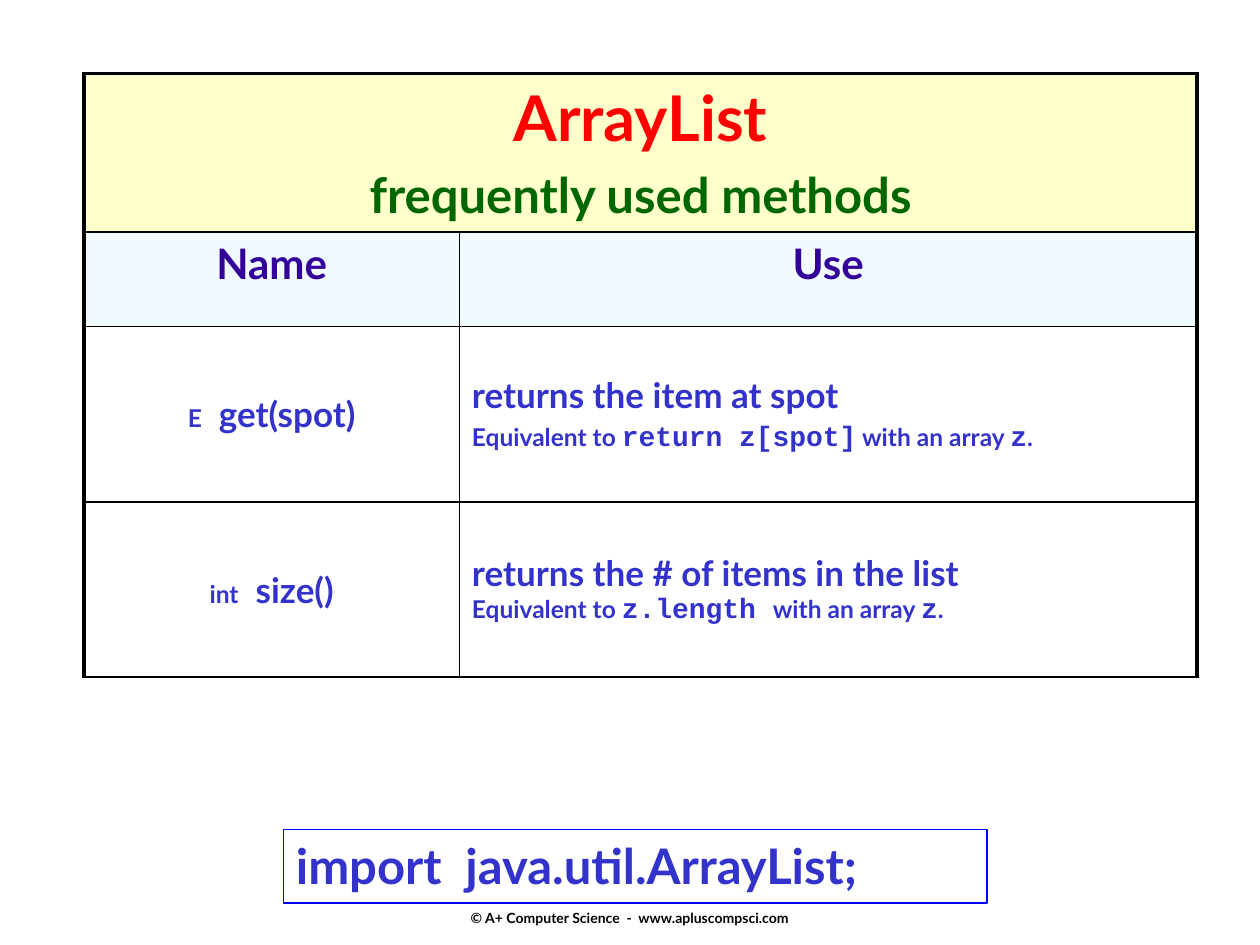
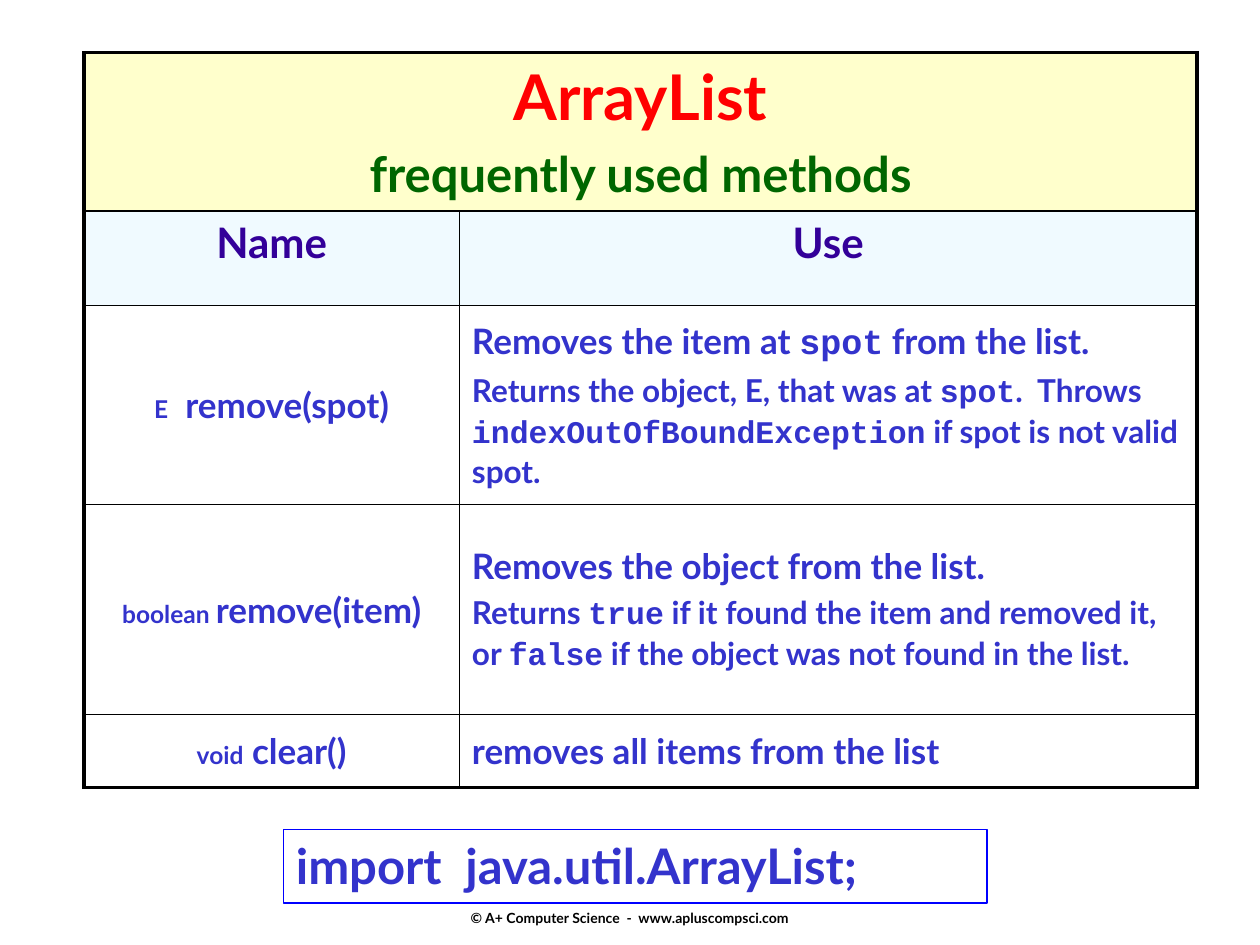
from dataclasses import dataclass

from lxml.etree import SubElement
from pptx import Presentation
from pptx.dml.color import RGBColor
from pptx.enum.shapes import MSO_SHAPE
from pptx.enum.text import MSO_ANCHOR, PP_ALIGN
from pptx.oxml.ns import qn
from pptx.util import Pt

TEXT_FONT, CODE_FONT = "Lato", "Courier New"
BLACK, RED, GREEN, PURPLE = "000000", "FF0000", "006600", "330099"
BLUE, FRAME_BLUE = "3333CC", "0000FF"
CREAM, PALE_BLUE = "FFFFCC", "F0FAFF"
TABLE_LEFT = 48
COLUMN_WIDTHS = (214.5, 421.5)
TITLE_HEIGHT, HEADING_HEIGHT = 90.6, 54
THICK, THIN = 2.25, 1


@dataclass(frozen=True)
class Line:
    """One paragraph; the parts between backticks are code."""
    text: str
    size: float = 20
    code_size: float | None = None
    color: str = BLUE
    gap: float | None = None

    def space_before(self) -> float:
        if self.gap is not None:
            return self.gap
        return 0.2 * max(self.size, self.code_size or 0)


@dataclass(frozen=True)
class Method:
    result: str
    call: str
    use: tuple[Line, ...]
    height: float


@dataclass(frozen=True)
class MethodTable:
    top: float
    bottom_border: float
    methods: tuple[Method, ...]


TITLE = (Line("ArrayList", 36, color=RED),
         Line("frequently used methods", 28, color=GREEN))
HEADINGS = ("Name", "Use")

TABLES = (
    MethodTable(42, THIN, (
        Method("E", "  get(spot)", (
            Line("returns the item at spot"),
            Line("Equivalent to `return z[spot]` with an array `z`.", 14, 16),
        ), 100.2),
        Method("int", "  size()", (
            Line("returns the # of items in the list"),
            Line("Equivalent to `z.length `with an array `z`.", 14, 16, gap=0.2),
        ), 100.2),
    )),
    MethodTable(30, THICK, (
        Method("E", "  remove(spot)", (
            Line("Removes the item at `spot` from the list."),
            Line("Returns the object, E, that was at `spot`.  Throws "
                 "`indexOutOfBoundException` if spot is not valid spot.", 18),
        ), 113.8),
        Method("boolean ", "remove(item)", (
            Line("Removes the object from the list."),
            Line("Returns `true` if it found the item and removed it, or "
                 "`false` if the object was not found in the list.", 18),
        ), 120),
        Method("void", " clear()", (
            Line("removes all items from the list"),
        ), 41.8),
    )),
)


def rgb(color: str) -> RGBColor:
    return RGBColor.from_string(color)


def add_span(para, text: str, size: float, color: str, font: str = TEXT_FONT) -> None:
    span = para.add_run()
    span.text = text
    for name, value in {"name": font, "size": Pt(size), "bold": True}.items():
        setattr(span.font, name, value)
    span.font.color.rgb = rgb(color)


def write_lines(frame, lines: tuple[Line, ...], align=PP_ALIGN.LEFT) -> None:
    for index, line in enumerate(lines):
        para = frame.add_paragraph() if index else frame.paragraphs[0]
        para.alignment = align
        if index:
            para.space_before = Pt(line.space_before())
        for part, text in enumerate(line.text.split("`")):
            if part % 2:
                add_span(para, text, line.code_size or line.size, line.color, CODE_FONT)
            elif text:
                add_span(para, text, line.size, line.color)


def set_borders(cell, widths: dict[str, float]) -> None:
    properties = cell._tc.get_or_add_tcPr()
    for side in ("L", "R", "T", "B"):
        edge = SubElement(properties, qn(f"a:ln{side}"), w=str(Pt(widths[side])))
        fill = SubElement(edge, qn("a:solidFill"))
        SubElement(fill, qn("a:srgbClr"), val=BLACK)


def style_cells(grid, bottom_border: float) -> None:
    """Draw the thick outer frame, the thin inner lines and the row fills."""
    last_row = len(grid.rows) - 1
    for row in range(last_row + 1):
        for column in range(2):
            cell = grid.cell(row, column)
            set_borders(cell, {
                "L": THICK if column == 0 or row == 0 else THIN,
                "R": THICK if column == 1 or row == 0 else THIN,
                "T": THICK if row == 0 else THIN,
                "B": bottom_border if row == last_row else THIN,
            })
            if row < 2:
                cell.fill.solid()
                cell.fill.fore_color.rgb = rgb((CREAM, PALE_BLUE)[row])
            else:
                cell.fill.background()
                cell.vertical_anchor = MSO_ANCHOR.MIDDLE


def add_method_table(page, table: MethodTable) -> None:
    heights = [TITLE_HEIGHT, HEADING_HEIGHT, *(method.height for method in table.methods)]
    grid = page.shapes.add_table(len(heights), 2, Pt(TABLE_LEFT), Pt(table.top),
                                 Pt(sum(COLUMN_WIDTHS)), Pt(sum(heights))).table
    grid.first_row = grid.horz_banding = False
    for column, width in zip(grid.columns, COLUMN_WIDTHS):
        column.width = Pt(width)
    for row, height in zip(grid.rows, heights):
        row.height = Pt(height)
    style_cells(grid, table.bottom_border)

    grid.cell(0, 0).merge(grid.cell(0, 1))
    write_lines(grid.cell(0, 0).text_frame, TITLE, PP_ALIGN.CENTER)
    for column, heading in enumerate(HEADINGS):
        write_lines(grid.cell(1, column).text_frame,
                    (Line(heading, 24, color=PURPLE),), PP_ALIGN.CENTER)
    for row, method in enumerate(table.methods, start=2):
        para = grid.cell(row, 0).text_frame.paragraphs[0]
        para.alignment = PP_ALIGN.CENTER
        add_span(para, method.result, 14, BLUE)
        add_span(para, method.call, 20, BLUE)
        write_lines(grid.cell(row, 1).text_frame, method.use)


def add_import_box(page) -> None:
    box = page.shapes.add_shape(MSO_SHAPE.RECTANGLE, Pt(162), Pt(474), Pt(402), Pt(42))
    box.shadow.inherit = False
    box.fill.background()
    box.line.color.rgb = rgb(FRAME_BLUE)
    box.line.width = Pt(1)
    box.text_frame.word_wrap = True
    box.text_frame.vertical_anchor = MSO_ANCHOR.TOP
    write_lines(box.text_frame, (Line("import  java.util.ArrayList;", 28),))


def add_footer(page) -> None:
    box = page.shapes.add_textbox(Pt(246), Pt(492), Pt(228), Pt(41))
    box.text_frame.word_wrap = False
    box.text_frame.vertical_anchor = MSO_ANCHOR.BOTTOM
    write_lines(box.text_frame,
                (Line("© A+ Computer Science  -  www.apluscompsci.com", 8, color=BLACK),),
                PP_ALIGN.CENTER)


def main() -> None:
    deck = Presentation()
    deck.slide_width, deck.slide_height = Pt(720), Pt(540)
    blank_layout = deck.slide_layouts[6]
    for table in TABLES:
        page = deck.slides.add_slide(blank_layout)
        add_footer(page)
        add_method_table(page, table)
        add_import_box(page)
    deck.save("out.pptx")


if __name__ == "__main__":
    main()
